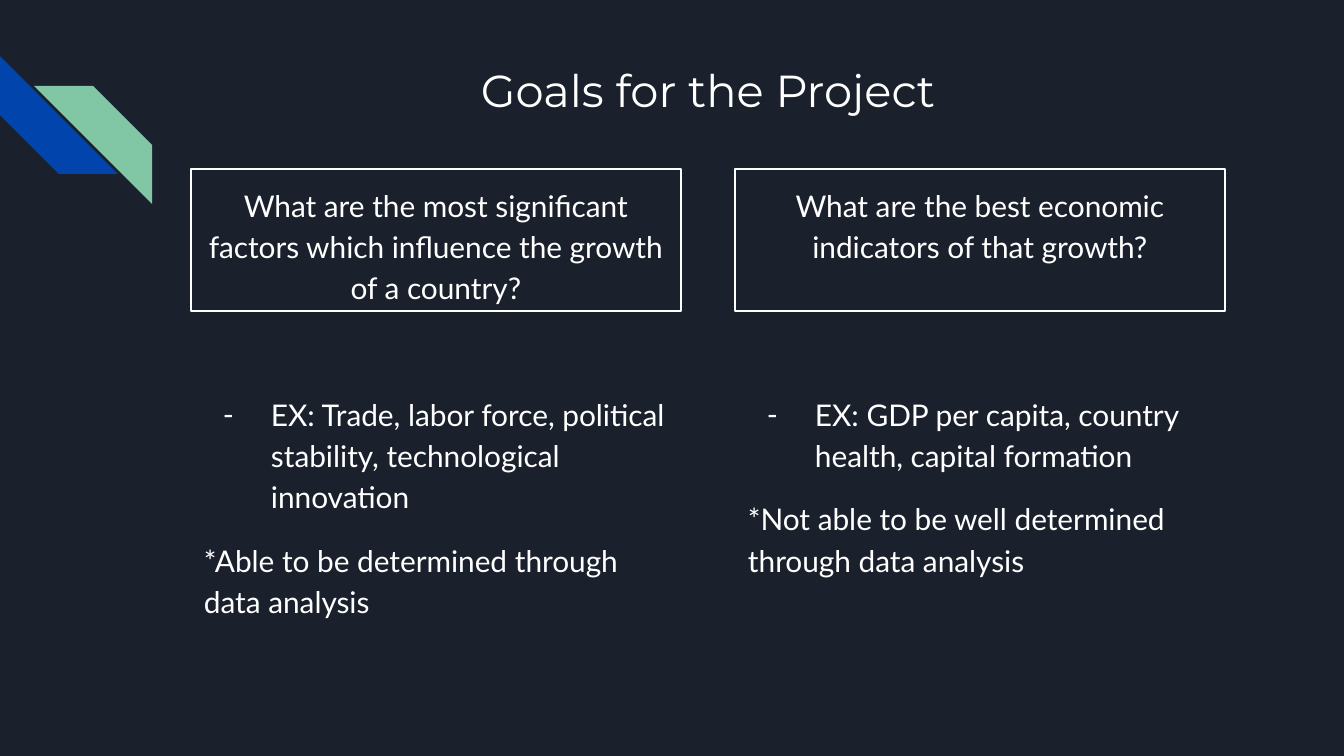
from lxml.etree import SubElement
from pptx import Presentation
from pptx.dml.color import RGBColor
from pptx.enum.shapes import MSO_SHAPE
from pptx.enum.text import MSO_ANCHOR, PP_ALIGN
from pptx.oxml.ns import qn
from pptx.util import Pt

TITLE = "Goals for the Project"
COLUMNS = [
    {
        "question": "What are the most significant factors which influence the growth of a country?",
        "example": "EX: Trade, labor force, political stability, technological innovation",
        "remark": "*Able to be determined through data analysis",
    },
    {
        "question": "What are the best economic indicators of that growth?",
        "example": "EX: GDP per capita, country health, capital formation",
        "remark": "*Not able to be well determined through data analysis",
    },
]
STRIPES = [(0, 56, 270, "0145AC"), (34, 86, 90, "82C7A5")]
BACKGROUND, WHITE = "1B212C", "FFFFFF"
STRIPE_SIZE = 118
COLUMN_LEFT, COLUMN_WIDTH, COLUMN_GAP = 191, 490, 54
QUESTION_TOP, QUESTION_HEIGHT = 169, 142
ANSWER_TOP, ANSWER_HEIGHT = 378, 352
MARGIN, BULLET_INDENT, BULLET_HANG = 13, 67, 48


def px(length):
    return round(length * 914400 / 134.4)


def color(value):
    return RGBColor.from_string(value)


def add_preset(kind, left, top, width, height, fill=None, line=None):
    shape = slide.shapes.add_shape(kind, px(left), px(top), px(width), px(height))
    shape.shadow.inherit = False
    if fill:
        shape.fill.solid()
        shape.fill.fore_color.rgb = color(fill)
    else:
        shape.fill.background()
    if line:
        shape.line.color.rgb = color(line)
        shape.line.width = Pt(0.75)
    else:
        shape.line.fill.background()
    return shape


def add_textbox(left, top, width, height):
    return slide.shapes.add_textbox(px(left), px(top), px(width), px(height))


def write(shape, text, size=16, font="Lato", align=PP_ALIGN.LEFT, spacing=1.15,
          before=0, after=0, bullet=None):
    frame = shape.text_frame
    frame.word_wrap = True
    frame.vertical_anchor = MSO_ANCHOR.TOP
    frame.margin_left = frame.margin_right = px(MARGIN)
    frame.margin_top = frame.margin_bottom = px(MARGIN)
    paragraph = frame.add_paragraph() if frame.text else frame.paragraphs[0]
    paragraph.alignment = align
    paragraph.line_spacing = spacing
    paragraph.space_before, paragraph.space_after = Pt(before), Pt(after)
    run = paragraph.add_run()
    run.text = text
    run.font.size, run.font.name = Pt(size), font
    run.font.color.rgb = color(WHITE)
    if bullet:
        properties = paragraph._p.get_or_add_pPr()
        properties.set("marL", str(px(BULLET_INDENT)))
        properties.set("indent", str(-px(BULLET_HANG)))
        SubElement(properties, qn("a:buFont"), typeface=font)
        SubElement(properties, qn("a:buChar"), char=bullet)


presentation = Presentation()
presentation.slide_width, presentation.slide_height = px(1344), px(756)
slide = presentation.slides.add_slide(presentation.slide_layouts[6])
slide.background.fill.solid()
slide.background.fill.fore_color.rgb = color(BACKGROUND)

for left, top, rotation, fill in STRIPES:
    stripe = add_preset(MSO_SHAPE.DIAGONAL_STRIPE, left, top, STRIPE_SIZE, STRIPE_SIZE, fill=fill)
    stripe.rotation = rotation

title = add_textbox(447, 50, 522, 134)
write(title, TITLE, size=24, font="Montserrat", align=PP_ALIGN.CENTER, spacing=1.0)

for index, column in enumerate(COLUMNS):
    left = COLUMN_LEFT + index * (COLUMN_WIDTH + COLUMN_GAP)
    question = add_preset(MSO_SHAPE.RECTANGLE, left, QUESTION_TOP, COLUMN_WIDTH,
                          QUESTION_HEIGHT, line=WHITE)
    write(question, column["question"], align=PP_ALIGN.CENTER, after=12)
    answer = add_textbox(left, ANSWER_TOP, COLUMN_WIDTH, ANSWER_HEIGHT)
    write(answer, column["example"], bullet="-")
    write(answer, column["remark"], before=12, after=12)

presentation.save("out.pptx")
